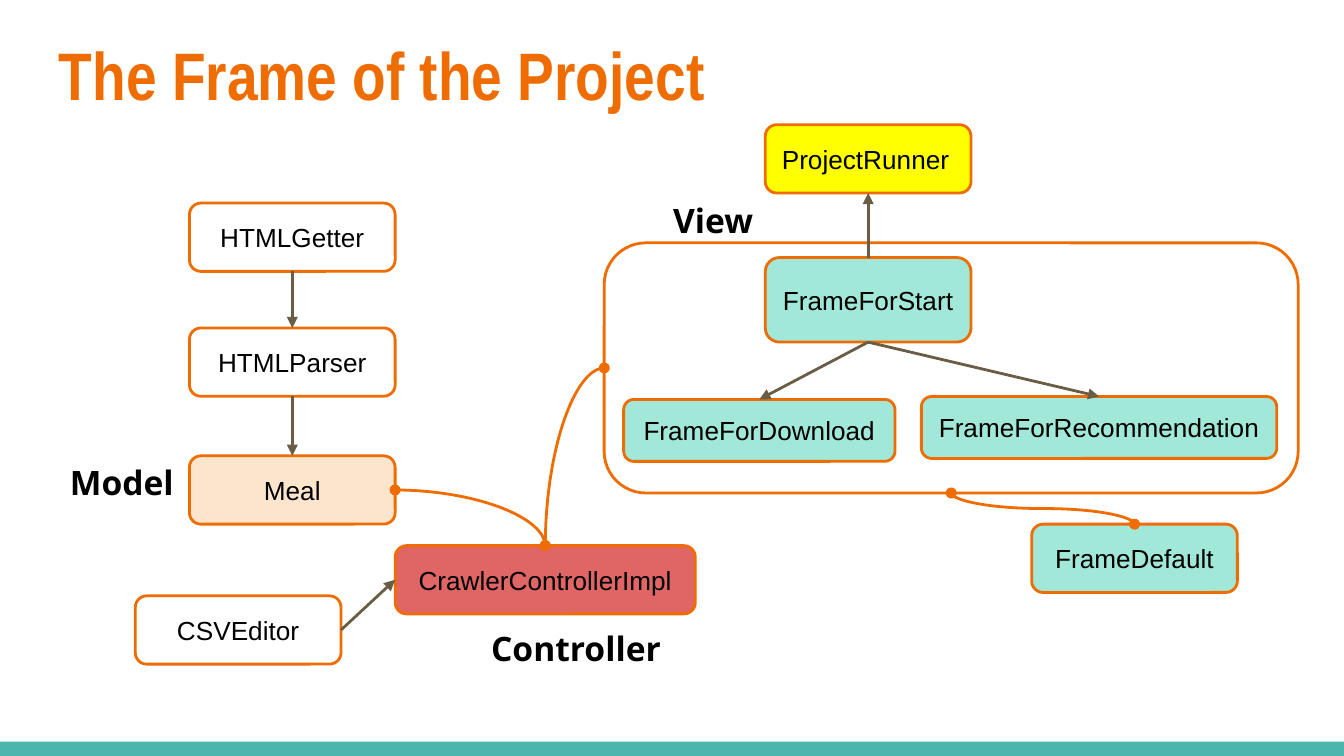
from lxml.etree import SubElement
from pptx import Presentation
from pptx.dml.color import RGBColor
from pptx.enum.shapes import MSO_CONNECTOR, MSO_SHAPE
from pptx.enum.text import MSO_ANCHOR, PP_ALIGN
from pptx.oxml.ns import qn
from pptx.util import Pt

ORANGE, BROWN, BLACK = "EF6C00", "695D46", "000000"
MINT, YELLOW, PEACH, RED, TEAL = "A1E8D9", "FFFF00", "FCE5CD", "E06666", "4DB6AC"
TOP, LEFT, BOTTOM, RIGHT = range(4)
BOX_WIDTH, BOX_HEIGHT = 110.2, 36.6
MODEL_LEFT, START_LEFT = 101.5, 410


def color(hex_string):
    """Turn a hex string into a colour."""
    return RGBColor.from_string(hex_string)


def write_text(shape, text, size=14, font="Arial", hex_color=BLACK, bold=False,
               align=PP_ALIGN.LEFT, anchor=MSO_ANCHOR.TOP, wrap=True):
    """Write one formatted paragraph into a shape."""
    frame = shape.text_frame
    frame.word_wrap = wrap
    frame.vertical_anchor = anchor
    frame.margin_left = frame.margin_right = Pt(7.2)
    frame.margin_top = frame.margin_bottom = Pt(7.2)
    paragraph = frame.paragraphs[0]
    paragraph.alignment = align
    run = paragraph.add_run()
    run.text = text
    run.font.name = font
    run.font.size = Pt(size)
    run.font.bold = bold
    run.font.color.rgb = color(hex_color)


def add_label(slide, text, left, top, width, height, **text_format):
    """Add a text box."""
    label = slide.shapes.add_textbox(Pt(left), Pt(top), Pt(width), Pt(height))
    write_text(label, text, **text_format)


def add_panel(slide, kind, left, top, width, height, fill=None, line=None):
    """Add a preset shape with optional fill and outline."""
    shape = slide.shapes.add_shape(kind, Pt(left), Pt(top), Pt(width), Pt(height))
    shape.shadow.inherit = False
    if fill:
        shape.fill.solid()
        shape.fill.fore_color.rgb = color(fill)
    else:
        shape.fill.background()
    if line:
        shape.line.color.rgb = color(line)
        shape.line.width = Pt(1.5)
    else:
        shape.line.fill.background()
    return shape


def add_class_box(slide, name, left, top, width=BOX_WIDTH, height=BOX_HEIGHT,
                  fill=None, align=PP_ALIGN.CENTER):
    """Add a rounded box that names a class."""
    box = add_panel(slide, MSO_SHAPE.ROUNDED_RECTANGLE, left, top, width, height,
                    fill, ORANGE)
    write_text(box, name, align=align, anchor=MSO_ANCHOR.MIDDLE, wrap=False)
    return box


def add_joined_line(slide, kind, start, start_side, end, end_side, hex_color, **ends):
    """Join two shapes with a connector carrying the given line ends."""
    connector = slide.shapes.add_connector(kind, 0, 0, 0, 0)
    connector.begin_connect(start, start_side)
    connector.end_connect(end, end_side)
    connector.line.color.rgb = color(hex_color)
    connector.line.width = Pt(1.5)
    line = connector.line._get_or_add_ln()
    for tag, end_type in ends.items():
        SubElement(line, qn(f"a:{tag}"), type=end_type)
    SubElement(connector._element.spPr, qn("a:effectLst"))
    return connector


def add_arrow(slide, start, start_side, end, end_side):
    """Join two boxes with a straight arrow."""
    add_joined_line(slide, MSO_CONNECTOR.STRAIGHT, start, start_side, end, end_side,
                    BROWN, tailEnd="triangle")


def add_curve(slide, start, start_side, end, end_side, preset):
    """Join two shapes with a curve, turned when it leaves a top or bottom side."""
    curve = add_joined_line(slide, MSO_CONNECTOR.CURVE, start, start_side, end, end_side,
                            ORANGE, headEnd="oval", tailEnd="oval")
    curve._element.spPr.find(qn("a:prstGeom")).set("prst", preset)
    if start_side in (TOP, BOTTOM):
        center_x = (curve.begin_x + curve.end_x) // 2
        center_y = (curve.begin_y + curve.end_y) // 2
        width, height = curve.height, curve.width
        transform = curve._element.spPr.find(qn("a:xfrm"))
        transform.set("flipH", "1" if start_side == BOTTOM else "0")
        transform.set("flipV", "0")
        curve.left, curve.top = center_x - width // 2, center_y - height // 2
        curve.width, curve.height = width, height
        curve.rotation = 270


def main():
    """Build the class diagram slide."""
    presentation = Presentation()
    presentation.slide_width, presentation.slide_height = Pt(720), Pt(405)
    slide = presentation.slides.add_slide(presentation.slide_layouts[6])

    add_panel(slide, MSO_SHAPE.RECTANGLE, 0, 397.3, 720, 7.7, fill=TEAL)
    view = add_panel(slide, MSO_SHAPE.ROUNDED_RECTANGLE, 323.7, 130.1, 371.8, 134,
                     line=ORANGE)
    add_label(slide, "The Frame of the Project", 24.5, 10.8, 671, 55.4, size=36,
              font="Arial Narrow", hex_color=ORANGE, bold=True)

    default = add_class_box(slide, "FrameDefault", 552.7, 280.8, fill=MINT)
    start = add_class_box(slide, "FrameForStart", START_LEFT, 138, height=45.3, fill=MINT)
    download = add_class_box(slide, "FrameForDownload", 334.1, 214, 145.4, 33.2, MINT)
    recommendation = add_class_box(slide, "FrameForRecommendation", 493.6, 212.4,
                                   190.4, 33.2, MINT)
    runner = add_class_box(slide, "ProjectRunner", START_LEFT, 66.8, fill=YELLOW,
                           align=PP_ALIGN.LEFT)
    meal = add_class_box(slide, "Meal", MODEL_LEFT, 244.2, fill=PEACH)
    getter = add_class_box(slide, "HTMLGetter", MODEL_LEFT, 108.8)
    parser = add_class_box(slide, "HTMLParser", MODEL_LEFT, 175.7)
    editor = add_class_box(slide, "CSVEditor", 72.5, 319.2)
    controller = add_class_box(slide, "CrawlerControllerImpl", 211.7, 292.3, 160.8,
                               fill=RED)

    add_curve(slide, controller, TOP, view, LEFT, "curvedConnector2")
    add_arrow(slide, getter, BOTTOM, parser, TOP)
    add_arrow(slide, parser, BOTTOM, meal, TOP)
    add_arrow(slide, editor, RIGHT, controller, LEFT)
    add_arrow(slide, start, TOP, runner, BOTTOM)
    add_arrow(slide, start, BOTTOM, download, TOP)
    add_arrow(slide, start, BOTTOM, recommendation, TOP)

    for text, left, top, width in (("Model", 30.4, 240.4, 72.7),
                                   ("Controller", 256, 329, 128.9),
                                   ("View", 353.5, 99.8, 94.3)):
        add_label(slide, text, left, top, width, 31.7, size=18, font="Open Sans",
                  bold=True)

    add_curve(slide, meal, RIGHT, controller, TOP, "curvedConnector2")
    add_curve(slide, view, BOTTOM, default, TOP, "curvedConnector3")
    presentation.save("out.pptx")


if __name__ == "__main__":
    main()
